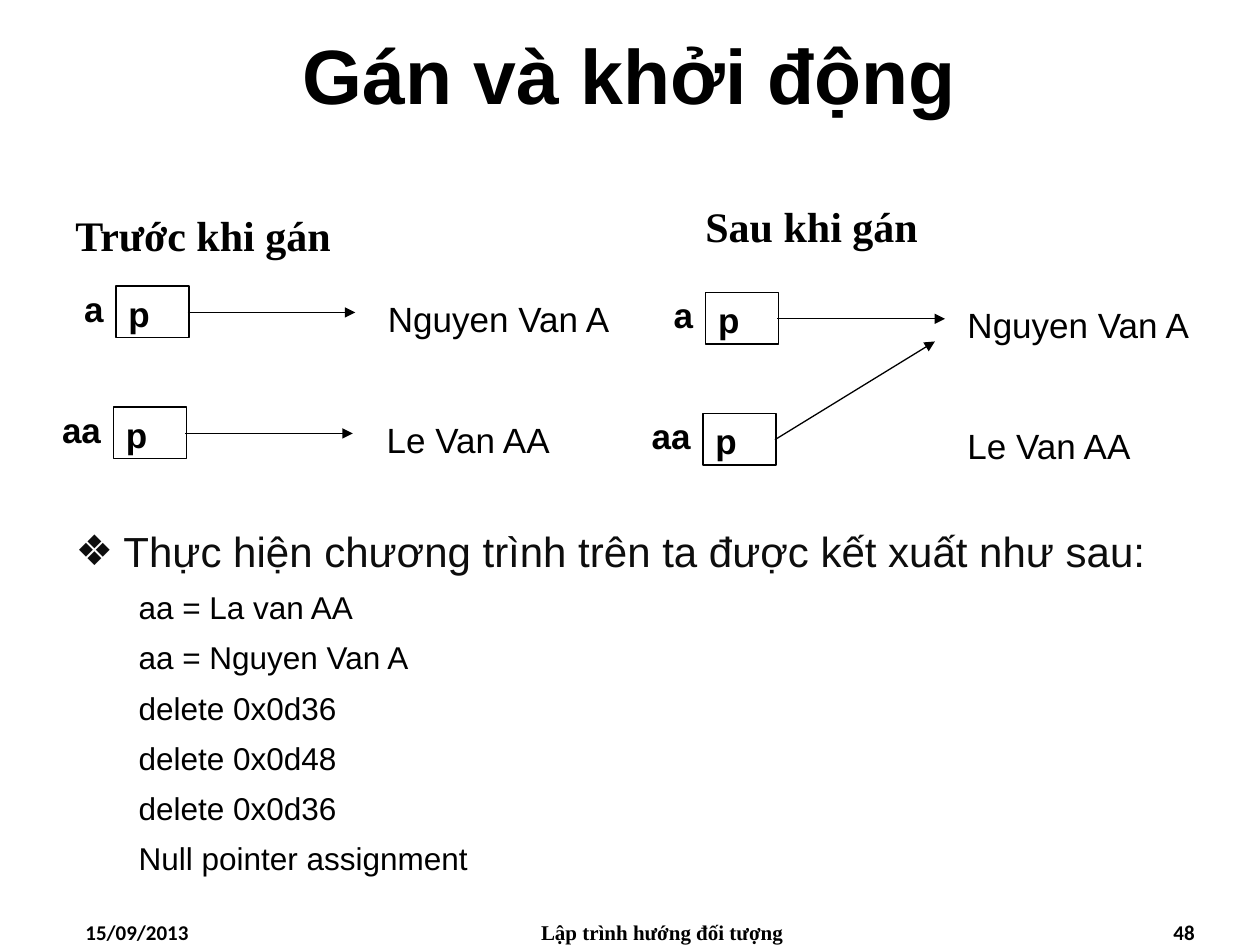
from dataclasses import dataclass

from pptx import Presentation
from pptx.dml.color import RGBColor
from pptx.enum.shapes import MSO_CONNECTOR as Connector, MSO_SHAPE as Preset
from pptx.enum.text import MSO_ANCHOR as Anchor, MSO_AUTO_SIZE as AutoSize, PP_ALIGN as Align
from pptx.oxml.ns import qn
from pptx.oxml.xmlchemy import OxmlElement
from pptx.util import Inches, Pt


@dataclass(frozen=True)
class Theme:
    ink: RGBColor = RGBColor(0, 0, 0)
    lead_ink: RGBColor = RGBColor(0x0D, 0x0D, 0x0D)
    paper: RGBColor = RGBColor(0xFF, 0xFF, 0xFF)
    sans: str = "Arial"
    serif: str = "Times New Roman"
    small: str = "Calibri"
    title_size: int = 44
    heading_size: int = 24
    label_size: int = 20
    output_size: int = 18
    footer_size: int = 12
    line_width: float = 0.75


THEME = Theme()
COLUMNS, ROWS = 100, 75
ROW_STEP = 9.6
FLAT_ARROW = (13.3, 0)
RISING_ARROW = (12.7, -7.8)
OUTPUT = [
    "aa = La van AA",
    "aa = Nguyen Van A",
    "delete 0x0d36",
    "delete 0x0d48",
    "delete 0x0d36",
    "Null pointer assignment",
]


def grid(*cells):
    return [Inches(cell / 10) for cell in cells]


def place(box, *cells):
    box.left, box.top, box.width, box.height = grid(*cells)


def style(para, size, font=THEME.sans, bold=False, color=THEME.ink):
    for span in para.runs:
        span.font.name = font
        span.font.size = Pt(size)
        span.font.bold = bold
        span.font.color.rgb = color


def write(box, text, size, font=THEME.sans, bold=False, align=Align.LEFT):
    frame = box.text_frame
    frame.text = text
    frame.word_wrap = True
    frame.vertical_anchor = Anchor.TOP
    frame.paragraphs[0].alignment = align
    style(frame.paragraphs[0], size, font, bold)


def add_label(page, cells, text, size=THEME.label_size, **options):
    write(page.shapes.add_textbox(*grid(*cells)), text, size, **options)


def add_pointer_box(page, left, top):
    box = page.shapes.add_shape(Preset.RECTANGLE, *grid(left, top, 5.8, 4.1))
    box.shadow.inherit = False
    box.fill.background()
    box.line.color.rgb = THEME.ink
    box.line.width = Pt(THEME.line_width)
    write(box, "p", THEME.label_size, bold=True)


def add_arrow(page, left, top, reach):
    across, down = reach
    arrow = page.shapes.add_connector(
        Connector.STRAIGHT, *grid(left, top, left + across, top + down)
    )
    arrow.line.color.rgb = THEME.ink
    arrow.line.width = Pt(THEME.line_width)
    properties = arrow._element.spPr
    head = OxmlElement("a:tailEnd")
    head.set("type", "triangle")
    properties.find(qn("a:ln")).append(head)
    properties.append(OxmlElement("a:effectLst"))


def add_variable(page, name, value, left, top, value_left, reach):
    add_label(page, (left - 6, top - 0.4, 6, 4), name, bold=True, align=Align.RIGHT)
    add_pointer_box(page, left, top)
    add_arrow(page, left + 5.7, top + 2.1, reach)
    add_label(page, (value_left, top + 0.4, 21.5, 4.4), value)


def add_panel(page, heading, heading_cells, left, top, value_lefts, last_reach):
    add_label(page, heading_cells, heading, THEME.heading_size, font=THEME.serif, bold=True)
    first_value, second_value = value_lefts
    add_variable(page, "a", "Nguyen Van A", left + 0.2, top, first_value, FLAT_ARROW)
    add_variable(page, "aa", "Le Van AA", left, top + ROW_STEP, second_value, last_reach)


def set_bullet(para, margin, hang, symbol=None):
    properties = para._p.get_or_add_pPr()
    properties.set("marL", str(Inches(margin)))
    properties.set("indent", str(Inches(-hang)))
    bullet = OxmlElement("a:buChar" if symbol else "a:buNone")
    if symbol:
        bullet.set("char", symbol)
    properties.append(bullet)


def fill_title(title, text):
    place(title, 0, 0, COLUMNS, 11.7)
    write(title, text, THEME.title_size, bold=True, align=Align.CENTER)
    title.text_frame.vertical_anchor = Anchor.MIDDLE
    title.text_frame.auto_size = AutoSize.NONE


def fill_body(body, lead, lines):
    place(body, 5, 40, 91.7, 30.8)
    frame = body.text_frame
    frame.auto_size = AutoSize.NONE
    frame.text = "\n".join([lead, *lines])
    first, *rest = frame.paragraphs
    set_bullet(first, 0.38, 0.38, "❖")
    first.line_spacing = 1.3
    first.space_before = Pt(0)
    style(first, THEME.heading_size, color=THEME.lead_ink)
    for para in rest:
        para.level = 1
        set_bullet(para, 0.81, 0.31)
        para.line_spacing = 1.05
        para.space_before = Pt(3)
        style(para, THEME.output_size)
    for para in frame.paragraphs:
        para.alignment = Align.JUSTIFY
        para.space_after = Pt(3)


def add_footer(page):
    for left, width, text, font, align in (
        (5.8, 23.3, "15/09/2013", THEME.small, Align.LEFT),
        (36.7, 31.7, "Lập trình hướng đối tượng", THEME.serif, Align.CENTER),
        (72.5, 23.3, "48", THEME.small, Align.RIGHT),
    ):
        add_label(page, (left, ROWS - 2.5, width, 2.5), text, THEME.footer_size,
                  font=font, bold=True, align=align)


def main():
    deck = Presentation()
    deck.slide_width, deck.slide_height = grid(COLUMNS, ROWS)
    page = deck.slides.add_slide(deck.slide_layouts[1])
    page.background.fill.solid()
    page.background.fill.fore_color.rgb = THEME.paper
    fill_title(page.shapes.title, "Gán và khởi động")
    fill_body(page.placeholders[1],
              "Thực hiện chương trình trên ta được kết xuất như sau:", OUTPUT)
    add_panel(page, "Trước khi gán", (5, 16.1, 44.2, 20.7), 9, 22.7, (29.8, 29.7), FLAT_ARROW)
    add_panel(page, "Sau khi gán", (55, 15.4, 44.2, 20.7), 55.8, 23.2, (75.8, 75.8), RISING_ARROW)
    add_footer(page)
    deck.save("out.pptx")


if __name__ == "__main__":
    main()
